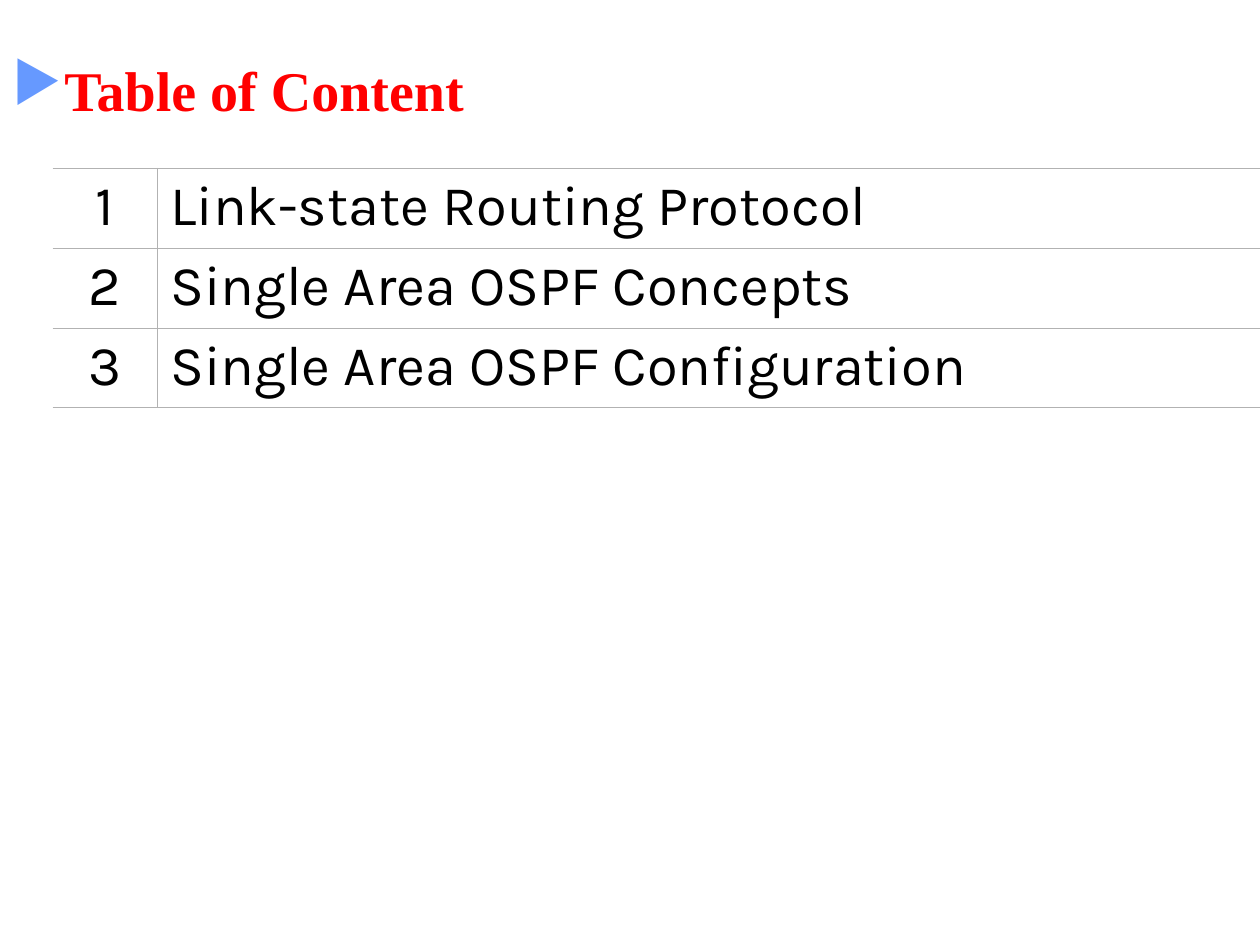
from lxml.etree import SubElement
from pptx import Presentation
from pptx.dml.color import RGBColor
from pptx.enum.text import MSO_ANCHOR, PP_ALIGN
from pptx.oxml.ns import qn
from pptx.util import Cm, Pt

COLORS = {"title": "FF0000", "bullet": "6699FF", "text": "000000", "rule": "B2B2B2"}
TOPICS = [
    "Link-state Routing Protocol",
    "Single Area OSPF Concepts",
    "Single Area OSPF Configuration",
]
SLIDE_WIDTH, SLIDE_HEIGHT = Cm(25.4), Cm(19.05)
TABLE_LEFT, TABLE_TOP = Cm(1.06), Cm(3.39)
NUMBER_WIDTH, ROW_HEIGHT = Cm(2.12), Cm(1.61)


def add_run(paragraph, text, font_name, color, bold=False):
    run = paragraph.add_run()
    run.text = text
    run.font.name = font_name
    run.font.size = Pt(32)
    run.font.bold = bold
    run.font.color.rgb = RGBColor.from_string(COLORS[color])


def add_bullet(paragraph, symbol, color):
    properties = paragraph._p.get_or_add_pPr()
    properties.set("marL", "0")
    properties.set("indent", "0")
    bullet_color = SubElement(properties, qn("a:buClr"))
    SubElement(bullet_color, qn("a:srgbClr"), val=COLORS[color])
    SubElement(properties, qn("a:buChar"), char=symbol)


def add_title(slide, text):
    title = slide.shapes.add_textbox(0, Cm(0.85), SLIDE_WIDTH, Cm(1.9))
    frame = title.text_frame
    frame.word_wrap = True
    frame.vertical_anchor = MSO_ANCHOR.MIDDLE
    heading = frame.paragraphs[0]
    add_bullet(heading, "▶", "bullet")
    add_run(heading, text, "Times New Roman", "title", bold=True)


def set_borders(cell, visible_sides):
    properties = cell._tc.get_or_add_tcPr()
    for side in "LRTB":
        border = SubElement(properties, qn(f"a:ln{side}"), w=str(Pt(0.45)))
        if side in visible_sides:
            fill = SubElement(border, qn("a:solidFill"))
            SubElement(fill, qn("a:srgbClr"), val=COLORS["rule"])
        else:
            SubElement(border, qn("a:noFill"))


def fill_cell(cell, text, alignment, visible_sides):
    set_borders(cell, visible_sides)
    cell.fill.background()
    paragraph = cell.text_frame.paragraphs[0]
    paragraph.alignment = alignment
    add_run(paragraph, text, "Karla", "text")


def add_contents(slide, topics):
    contents = slide.shapes.add_table(
        len(topics), 2, TABLE_LEFT, TABLE_TOP,
        SLIDE_WIDTH - TABLE_LEFT, ROW_HEIGHT * len(topics),
    ).table
    contents.first_row = False
    contents.horz_banding = False
    contents.columns[0].width = NUMBER_WIDTH
    contents.columns[1].width = SLIDE_WIDTH - TABLE_LEFT - NUMBER_WIDTH
    for row, topic in enumerate(topics):
        fill_cell(contents.cell(row, 0), str(row + 1), PP_ALIGN.CENTER, "RTB")
        fill_cell(contents.cell(row, 1), topic, PP_ALIGN.LEFT, "LTB")


def main():
    presentation = Presentation()
    presentation.slide_width = SLIDE_WIDTH
    presentation.slide_height = SLIDE_HEIGHT
    slide = presentation.slides.add_slide(presentation.slide_layouts[6])
    add_title(slide, "Table of Content")
    add_contents(slide, TOPICS)
    presentation.save("out.pptx")


if __name__ == "__main__":
    main()
